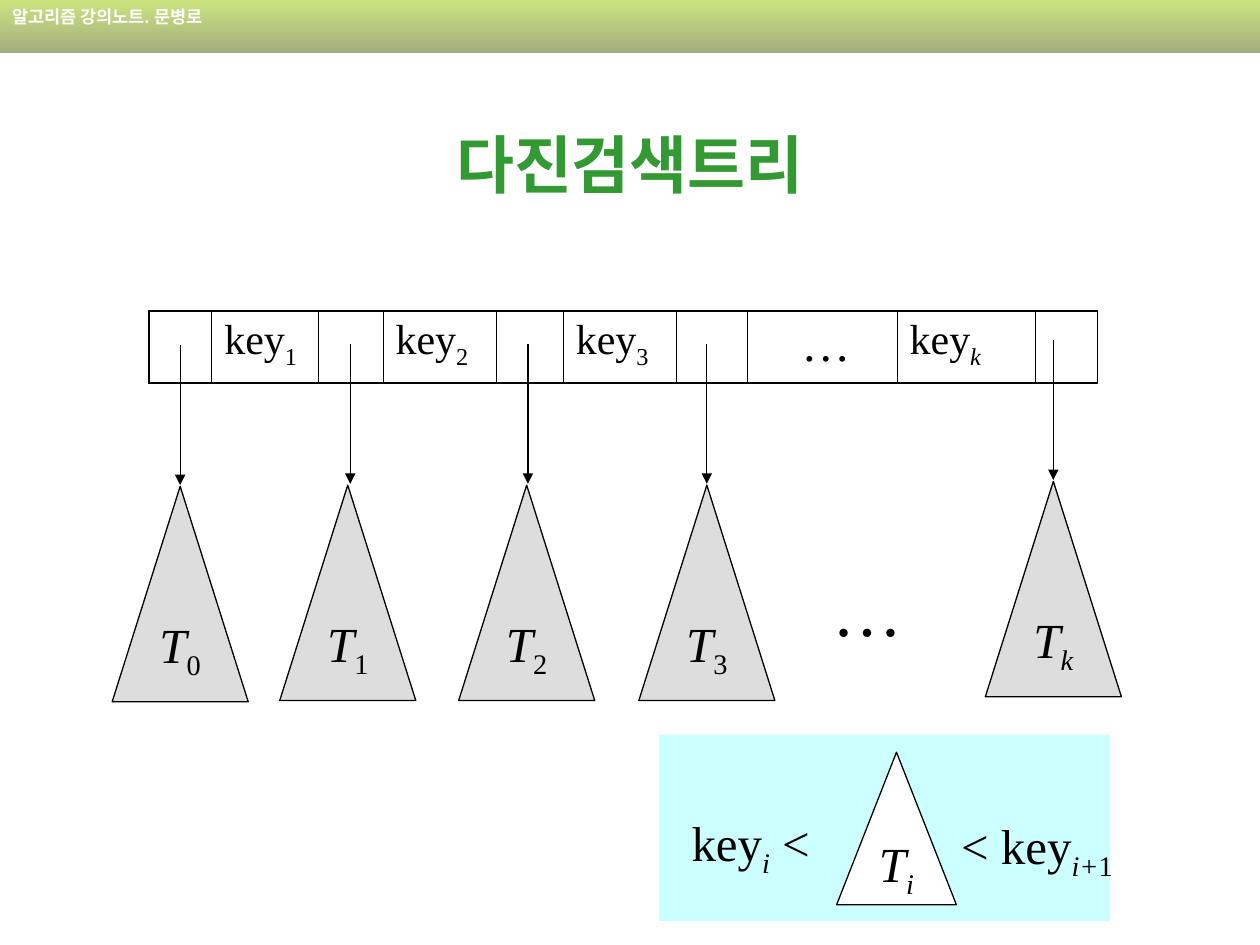
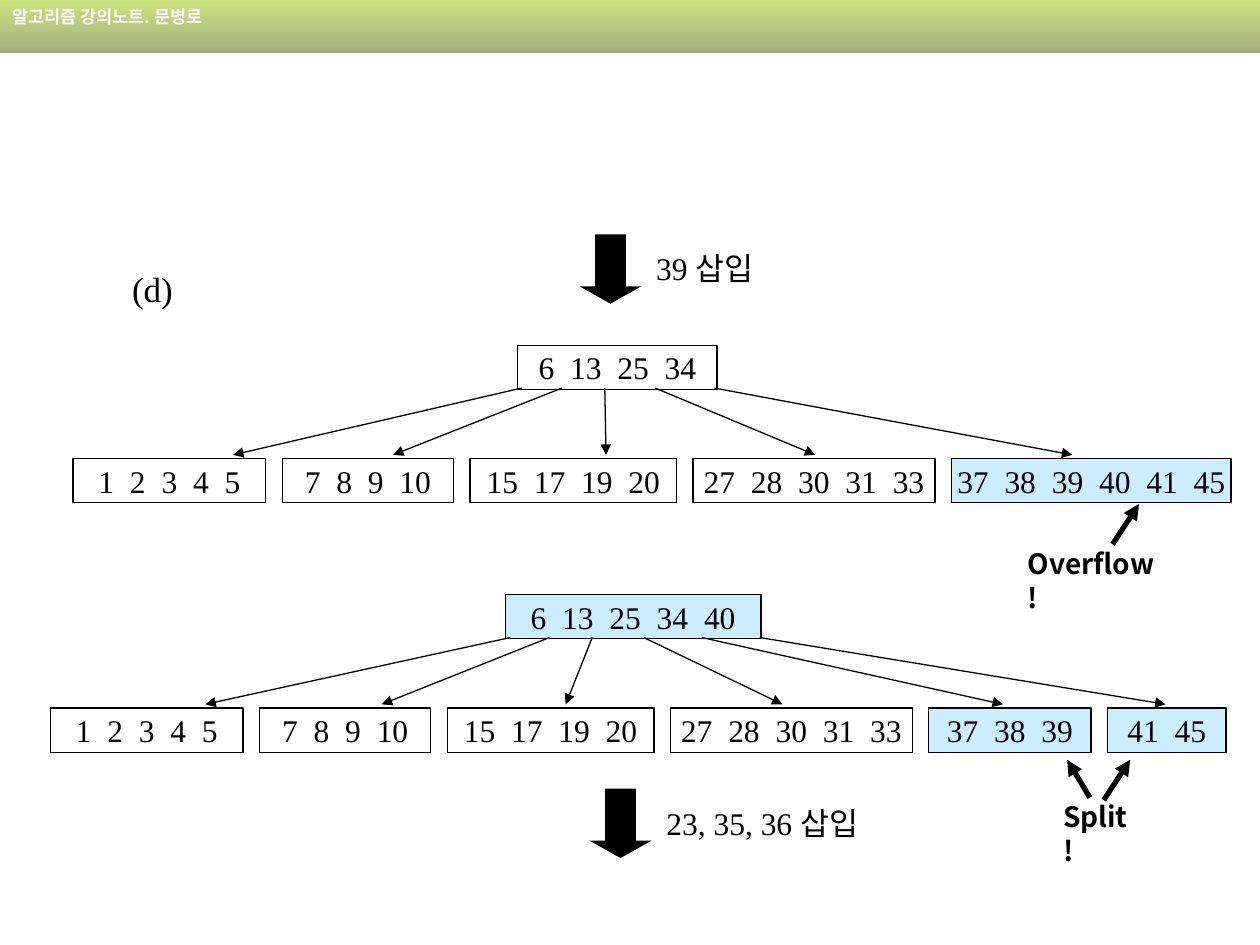
"""Build two lecture slides on multiway search trees and B-tree insertion."""

import dataclasses
import typing

import lxml.etree
import pptx
import pptx.dml.color
import pptx.enum.shapes
import pptx.enum.text
import pptx.oxml.ns
import pptx.util

Inches = pptx.util.Inches
Pt = pptx.util.Pt
qn = pptx.oxml.ns.qn
Preset = pptx.enum.shapes.MSO_SHAPE
Align = pptx.enum.text.PP_ALIGN
Anchor = pptx.enum.text.MSO_ANCHOR

COLORS = {
    "ink": "000000",
    "paper": "FFFFFF",
    "title": "339933",
    "band_top": "99CC00",
    "band_bottom": "475E00",
    "subtree": "DDDDDD",
    "rule_panel": "CCFFFF",
    "changed": "CCECFF",
}
SERIF = "Times New Roman"
SANS = "Noto Sans CJK KR"
LEAF_GAP = 0.13
NODE_HEIGHT = 0.35


@dataclasses.dataclass(frozen=True)
class Style:
    """Look of a piece of text."""

    size: float
    font: str = SERIF
    color: str = "ink"
    bold: bool = False


class Part(typing.NamedTuple):
    """One run of a label, with extra letter spacing in points."""

    text: str
    italic: bool = False
    subscript: bool = False
    spacing: float = 0


class Area(typing.NamedTuple):
    """Left, top, width and height in inches."""

    left: float
    top: float
    width: float
    height: float

    def lengths(self) -> list[int]:
        """Return the four values as slide lengths."""
        return [Inches(value) for value in self]


class Subtree(typing.NamedTuple):
    """A triangle and the pointer that leads to it."""

    index: Part
    left: float
    top: float
    pointer: float


class Node(typing.NamedTuple):
    """A box of keys."""

    keys: str
    width: float
    changed: bool = False


@dataclasses.dataclass(frozen=True)
class Tree:
    """A root, its row of leaves and the x pairs of its pointers."""

    root: Node
    root_left: float
    root_top: float
    leaves: list[Node]
    leaf_left: float
    pointers: list[tuple[float, float]]


TITLE = Style(36, SANS, "title", True)
HEADER = Style(10, SANS, "paper", True)
CALLOUT = Style(16, SANS, bold=True)
FORMULA = Style(28)
CELL = Style(24)
KEYS = Style(18)
MARK = Style(20)
DOTS = Style(40)
KEY_GAP = Part(" ", spacing=4.5)

SUBTREES = [
    Subtree(Part("0", False, True), 0.89, 3.86, 1.43),
    Subtree(Part("1", False, True), 2.22, 3.85, 2.78),
    Subtree(Part("2", False, True), 3.64, 3.85, 4.19),
    Subtree(Part("3", False, True), 5.07, 3.85, 5.61),
    Subtree(Part("k", True, True), 7.82, 3.82, 8.36),
]
COLUMN_WIDTHS = [0.5, 0.85, 0.51, 0.9, 0.53, 0.9, 0.56, 1.19, 1.1, 0.49]
KEY_COLUMNS = {
    1: Part("1", False, True),
    3: Part("2", False, True),
    5: Part("3", False, True),
    8: Part("k", True, True),
}
DOTS_COLUMN = 7

KEPT_LEAVES = [
    Node("1 2 3 4 5", 1.53),
    Node("7 8 9 10", 1.36),
    Node("15 17 19 20", 1.64),
    Node("27 28 30 31 33", 1.92),
]
OVERFLOWING = Tree(
    Node("6 13 25 34", 1.58), 4.11, 2.74,
    KEPT_LEAVES + [Node("37 38 39 40 41 45", 2.22, True)], 0.58,
    [(4.14, 1.85), (4.46, 3.12), (4.8, 4.81), (5.2, 6.47), (5.67, 8.51)],
)
SPLIT = Tree(
    Node("6 13 25 34 40", 2.03, True), 4.01, 4.72,
    KEPT_LEAVES + [Node("37 38 39", 1.29, True), Node("41 45", 0.94, True)], 0.4,
    [(4.05, 1.63), (4.36, 3.03), (4.7, 4.49), (5.11, 6.21), (5.57, 7.96), (6.03, 9.25)],
)


def rgb(name: str) -> pptx.dml.color.RGBColor:
    """Look up a colour by its name."""
    return pptx.dml.color.RGBColor.from_string(COLORS[name])


def write(frame, parts: list[Part], style: Style, align=Align.LEFT):
    """Fill the first paragraph run by run and return it."""
    para = frame.paragraphs[0]
    para.alignment = align
    for part in parts:
        span = para.add_run()
        span.text = part.text
        span.font.size = Pt(style.size)
        span.font.name = style.font
        span.font.bold = style.bold
        span.font.italic = part.italic
        span.font.color.rgb = rgb(style.color)
        properties = span._r.get_or_add_rPr()
        lxml.etree.SubElement(properties, qn("a:ea"), typeface=SANS)
        if part.subscript:
            properties.set("baseline", "-25000")
        if part.spacing:
            properties.set("spc", str(round(part.spacing * 100)))
    return para


def add_text(page, area: Area, parts: list[Part], style: Style,
             wrap: bool = False, align=Align.LEFT, anchor=Anchor.TOP) -> None:
    """Add a text box."""
    frame = page.shapes.add_textbox(*area.lengths()).text_frame
    frame.word_wrap = wrap
    frame.vertical_anchor = anchor
    write(frame, parts, style, align)


def add_figure(page, preset, area: Area, fill: str | None, outlined: bool = True):
    """Add a flat preset shape and return it."""
    figure = page.shapes.add_shape(preset, *area.lengths())
    figure.shadow.inherit = False
    if fill:
        figure.fill.solid()
        figure.fill.fore_color.rgb = rgb(fill)
    else:
        figure.fill.background()
    if outlined:
        figure.line.color.rgb = rgb("ink")
        figure.line.width = Pt(0.75)
    else:
        figure.line.fill.background()
    return figure


def add_labelled(page, preset, area: Area, fill: str | None,
                 parts: list[Part], style: Style) -> None:
    """Add an outlined shape with a centred label."""
    frame = add_figure(page, preset, area, fill).text_frame
    frame.word_wrap = False
    frame.margin_left = frame.margin_right = Inches(0)
    frame.vertical_anchor = Anchor.MIDDLE
    write(frame, parts, style, Align.CENTER)


def add_arrow(page, start: tuple[float, float], end: tuple[float, float],
              weight: float = 0.75) -> None:
    """Add a straight arrow with its head at the end."""
    ends = [Inches(value) for value in (*start, *end)]
    arrow = page.shapes.add_connector(pptx.enum.shapes.MSO_CONNECTOR.STRAIGHT, *ends)
    arrow.line.color.rgb = rgb("ink")
    arrow.line.width = Pt(weight)
    lxml.etree.SubElement(arrow.line._get_or_add_ln(), qn("a:tailEnd"), type="triangle")
    lxml.etree.SubElement(arrow.element.spPr, qn("a:effectLst"))


def add_page(deck):
    """Add a blank page with the gradient header band."""
    page = deck.slides.add_slide(deck.slide_layouts[6])
    band = add_figure(page, Preset.RECTANGLE, Area(0, 0, 10, 0.42), None, False)
    band.fill.gradient()
    band.fill.gradient_angle = 270
    for stop, position, name in zip(band.fill.gradient_stops, (0, 1), ("band_top", "band_bottom")):
        stop.position = position
        stop.color.rgb = rgb(name)
    for color in band.element.spPr.iter(qn("a:srgbClr")):
        lxml.etree.SubElement(color, qn("a:alpha"), val="50000")
    band.text_frame.vertical_anchor = Anchor.TOP
    write(band.text_frame, [Part("알고리즘 강의노트. 문병로")], HEADER)
    return page


def set_borders(cell, first: bool, last: bool) -> None:
    """Draw thick outer and thin inner cell borders."""
    weights = {"lnL": 1.08 if first else 0.45, "lnR": 1.08 if last else 0.45,
               "lnT": 1.08, "lnB": 1.08}
    properties = cell._tc.get_or_add_tcPr()
    for position, (side, weight) in enumerate(weights.items()):
        border = lxml.etree.Element(qn(f"a:{side}"), w=str(Pt(weight)))
        fill = lxml.etree.SubElement(border, qn("a:solidFill"))
        lxml.etree.SubElement(fill, qn("a:srgbClr"), val=COLORS["ink"])
        properties.insert(position, border)


def add_key_table(page) -> None:
    """Add the node record of pointers and keys."""
    area = Area(1.18, 2.47, sum(COLUMN_WIDTHS), 0.57)
    table = page.shapes.add_table(1, len(COLUMN_WIDTHS), *area.lengths()).table
    table.first_row = table.horz_banding = False
    for column, width in enumerate(COLUMN_WIDTHS):
        table.columns[column].width = Inches(width)
        cell = table.cell(0, column)
        cell.fill.background()
        set_borders(cell, column == 0, column == len(COLUMN_WIDTHS) - 1)
        if column in KEY_COLUMNS:
            para = write(cell.text_frame, [Part("key"), KEY_COLUMNS[column]], CELL)
            para.space_before = Pt(6)
        elif column == DOTS_COLUMN:
            cell.margin_left = Inches(0.43)
            write(cell.text_frame, [Part("…")], FORMULA).space_before = Pt(7)


def add_search_tree_page(deck) -> None:
    """Add the page that defines a multiway search tree."""
    page = add_page(deck)
    add_text(page, Area(0.75, 0.67, 8.5, 1.25), [Part("다진검색트리")], TITLE,
             True, Align.CENTER, Anchor.MIDDLE)
    add_key_table(page)
    for subtree in SUBTREES:
        add_labelled(page, Preset.ISOSCELES_TRIANGLE, Area(subtree.left, subtree.top, 1.08, 1.71),
                     "subtree", [Part("T", True), subtree.index], FORMULA)
        add_arrow(page, (subtree.pointer, subtree.top - 1.12), (subtree.pointer, subtree.top - 0.01))
    add_text(page, Area(6.51, 4.45, 0.75, 0.77), [Part("…")], DOTS)
    add_figure(page, Preset.RECTANGLE, Area(5.23, 5.83, 3.58, 1.48), "rule_panel", False)
    index = Part("i", True, True)
    add_labelled(page, Preset.ISOSCELES_TRIANGLE, Area(6.64, 5.97, 0.95, 1.21), "paper",
                 [Part("T", True), index], FORMULA)
    add_text(page, Area(5.39, 6.4, 1.14, 0.63), [Part("key"), index, Part(" <")], FORMULA)
    add_text(page, Area(7.53, 6.42, 1.4, 0.63),
             [Part("< key"), Part("i+", True, True), Part("1", False, True)], FORMULA)


def add_node(page, node: Node, left: float, top: float) -> None:
    """Add a box of evenly spaced keys."""
    first, *others = [Part(key) for key in node.keys.split()]
    parts = [first] + [part for key in others for part in (KEY_GAP, key)]
    add_labelled(page, Preset.RECTANGLE, Area(left, top, node.width, NODE_HEIGHT),
                 "changed" if node.changed else None, parts, KEYS)


def add_tree(page, tree: Tree) -> None:
    """Add a root, its leaves and the pointers between them."""
    add_node(page, tree.root, tree.root_left, tree.root_top)
    left = tree.leaf_left
    for leaf in tree.leaves:
        add_node(page, leaf, left, tree.root_top + 0.9)
        left += leaf.width + LEAF_GAP
    for start, end in tree.pointers:
        add_arrow(page, (start, tree.root_top + 0.34), (end, tree.root_top + 0.87))


def add_step(page, left: float, top: float, label: str, width: float) -> None:
    """Add a block arrow with the keys inserted at this step."""
    arrow = add_figure(page, Preset.DOWN_ARROW, Area(left, top, 0.49, 0.55), "ink", False)
    arrow.adjustments[1] = 0.28
    add_text(page, Area(left + 0.51, top + 0.07, width, 0.4), [Part(label)], KEYS)


def add_insertion_page(deck) -> None:
    """Add the page that shows an overflow and the split that resolves it."""
    page = add_page(deck)
    add_text(page, Area(0.95, 2.07, 0.7, 0.44), [Part("(d)")], MARK, True)
    add_step(page, 4.6, 1.86, "39 삽입", 1.03)
    add_tree(page, OVERFLOWING)
    add_text(page, Area(8.06, 4.29, 1.22, 0.37), [Part("Overflow!")], CALLOUT, True)
    add_tree(page, SPLIT)
    add_text(page, Area(8.34, 6.3, 0.75, 0.37), [Part("Split!")], CALLOUT, True)
    for start, end in [((8.83, 4.32), (9.04, 4)), ((8.76, 6.35), (8.97, 6.03)),
                       ((8.65, 6.33), (8.47, 6.03))]:
        add_arrow(page, start, end, 3)
    add_step(page, 4.68, 6.26, "23, 35, 36 삽입", 1.78)


def main() -> None:
    """Build and save the deck."""
    deck = pptx.Presentation()
    deck.slide_width, deck.slide_height = Inches(10), Inches(7.5)
    add_search_tree_page(deck)
    add_insertion_page(deck)
    deck.save("out.pptx")


if __name__ == "__main__":
    main()
